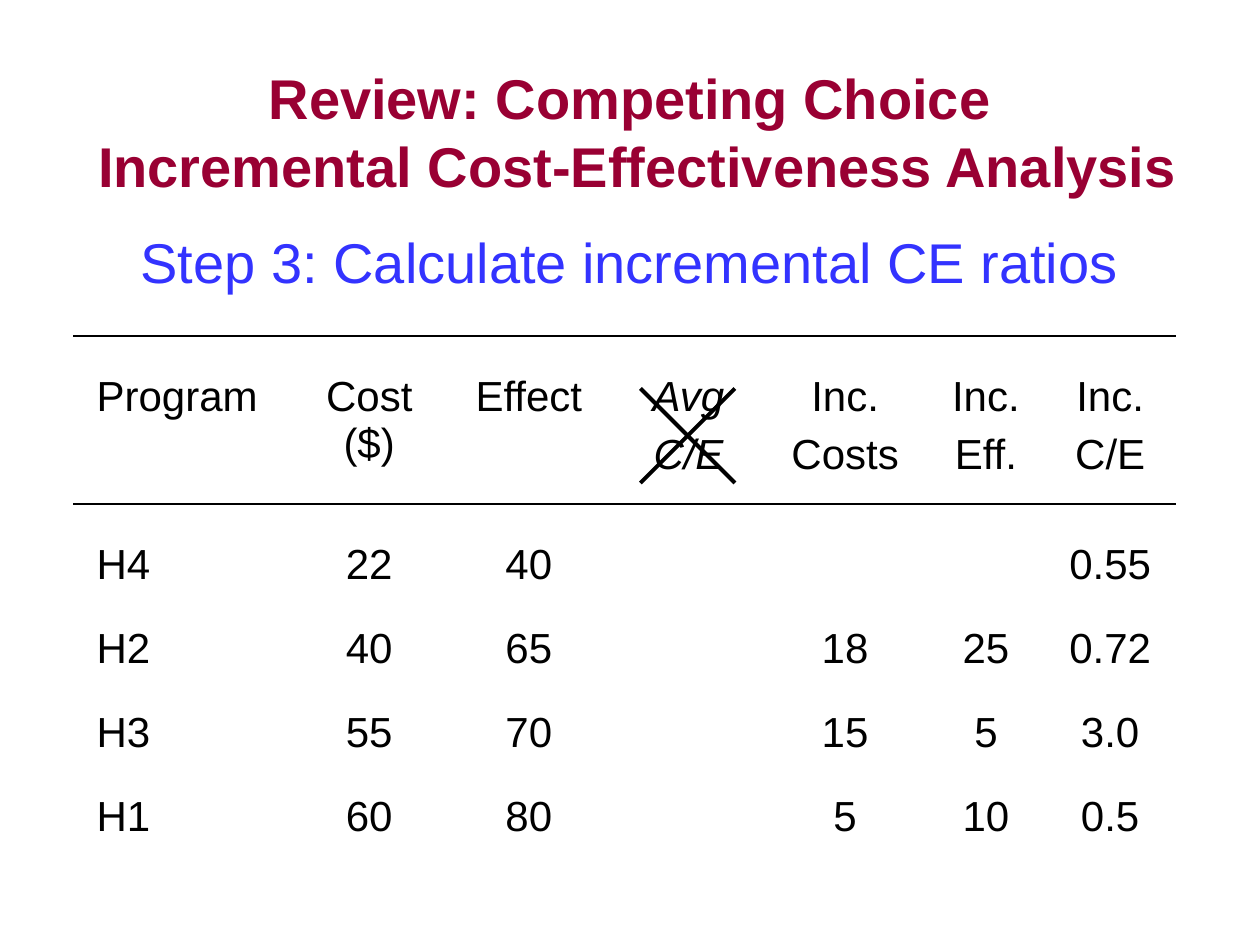
from lxml.etree import SubElement
from pptx import Presentation
from pptx.dml.color import RGBColor
from pptx.enum.shapes import MSO_CONNECTOR as Connector
from pptx.enum.text import MSO_ANCHOR as Anchor, PP_ALIGN as Align
from pptx.oxml.ns import qn
from pptx.util import Pt

BLACK = RGBColor(0, 0, 0)
CRIMSON = RGBColor(0x99, 0x00, 0x33)
BLUE = RGBColor(0x33, 0x33, 0xFF)

COLUMN_WIDTHS = [120, 86, 96.5, 86, 93, 68, 74]
ROW_HEIGHTS = [96, 48, 48, 48, 36, 36]
AVERAGE_COLUMN = 3
ROWS = [
    ["Program", "Cost ($)", "Effect", "Avg\nC/E", "Inc.\nCosts", "Inc.\nEff.", "Inc.\nC/E"],
    ["H4", "22", "40", "", "", "", "0.55"],
    ["H2", "40", "65", "", "18", "25", "0.72"],
    ["H3", "55", "70", "", "15", "5", "3.0"],
    ["H1", "60", "80", "", "5", "10", "0.5"],
    [""] * len(COLUMN_WIDTHS),
]


def style_paragraph(paragraph, size, color, align=Align.CENTER, bold=False, italic=False):
    paragraph.alignment = align
    font = paragraph.font
    font.name, font.size = "Arial", Pt(size)
    font.bold, font.italic = bold, italic
    font.color.rgb = color


def add_heading(slide, left, top, width, height, text, color, bold=False):
    frame = slide.shapes.add_textbox(Pt(left), Pt(top), Pt(width), Pt(height)).text_frame
    frame.word_wrap = True
    frame.vertical_anchor = Anchor.MIDDLE
    paragraph = frame.paragraphs[0]
    paragraph.text = text
    style_paragraph(paragraph, 32, color, bold=bold)


def add_line(slide, x1, y1, x2, y2, weight):
    line = slide.shapes.add_connector(Connector.STRAIGHT, Pt(x1), Pt(y1), Pt(x2), Pt(y2))
    line.line.color.rgb = BLACK
    line.line.width = Pt(weight)
    SubElement(line._element.spPr, qn("a:effectLst"))


def fill_cell(cell, text, align, italic):
    cell.fill.background()
    cell.text = text
    for index, paragraph in enumerate(cell.text_frame.paragraphs):
        style_paragraph(paragraph, 24, BLACK, align, italic=italic)
        if index:
            paragraph.space_before = Pt(6)


def add_program_table(slide, left, top):
    table = slide.shapes.add_table(
        len(ROW_HEIGHTS), len(COLUMN_WIDTHS), Pt(left), Pt(top),
        Pt(sum(COLUMN_WIDTHS)), Pt(sum(ROW_HEIGHTS))).table
    table.first_row = table.horz_banding = False
    for column, width in zip(table.columns, COLUMN_WIDTHS):
        column.width = Pt(width)
    for row, height, texts in zip(table.rows, ROW_HEIGHTS, ROWS):
        row.height = Pt(height)
        for index, (cell, text) in enumerate(zip(row.cells, texts)):
            align = Align.CENTER if index else Align.LEFT
            fill_cell(cell, text, align, italic=index == AVERAGE_COLUMN)


def add_header_rules(slide, left, top, width, height):
    for y in (top, top + height):
        add_line(slide, left, y, left + width, y, 1)


def add_cross(slide, left, top, size):
    right, bottom = left + size, top + size
    add_line(slide, left, top, right, bottom, 2.25)
    add_line(slide, left, bottom, right, top, 2.25)


def main():
    presentation = Presentation()
    presentation.slide_width, presentation.slide_height = Pt(720), Pt(540)
    slide = presentation.slides.add_slide(presentation.slide_layouts[6])

    # Title and step
    add_heading(slide, 36, 36, 648, 78,
                "Review: Competing Choice\v Incremental Cost-Effectiveness Analysis",
                CRIMSON, bold=True)
    # Table of programs, with rules around its header
    add_program_table(slide, 48, 210)
    add_header_rules(slide, 42, 192, 630, 96)
    add_heading(slide, 54, 126, 612, 46, "Step 3: Calculate incremental CE ratios", BLUE)
    # Average ratio crossed out
    add_cross(slide, 366, 222, 54)

    presentation.save("out.pptx")


if __name__ == "__main__":
    main()
